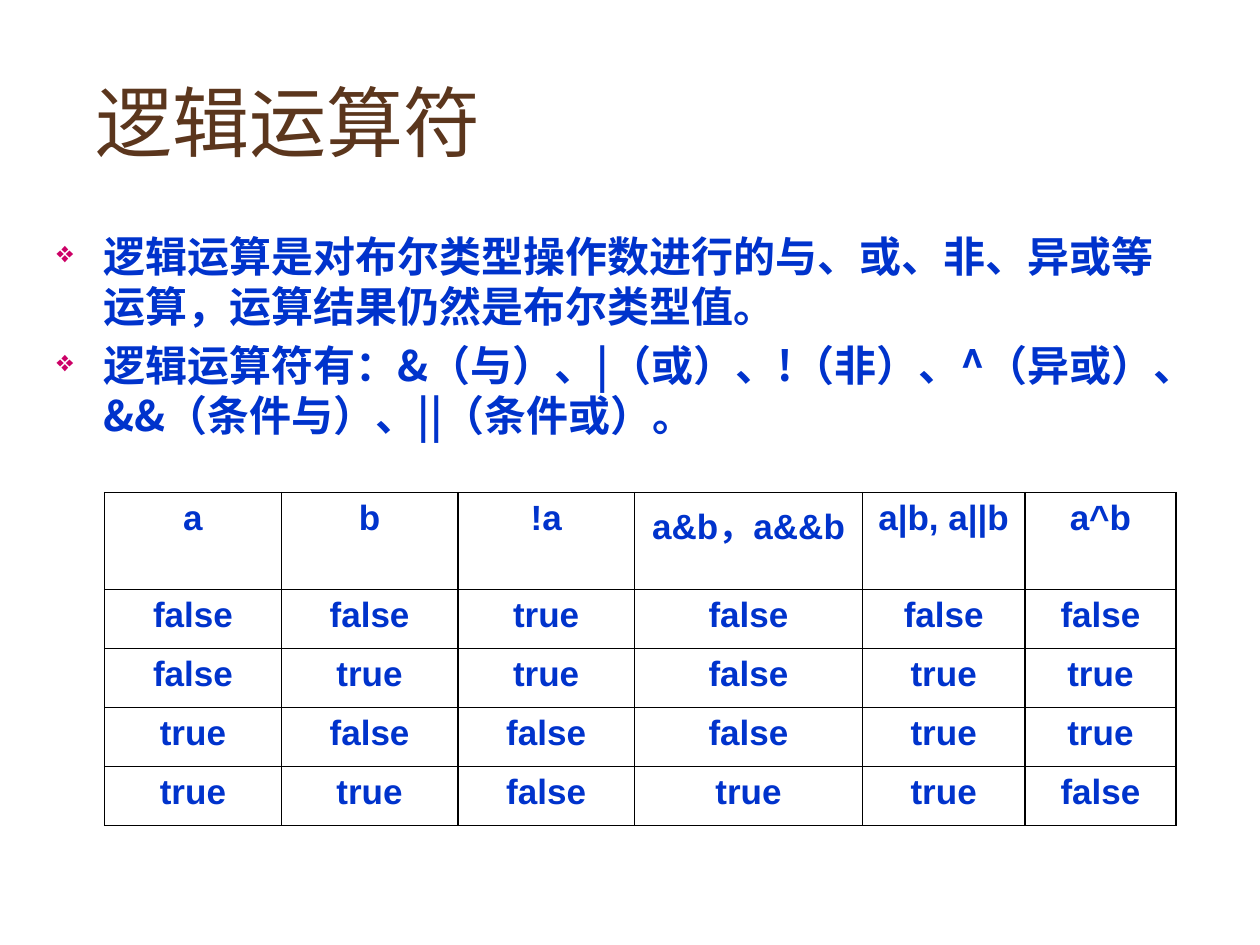
import pptx
import pptx.dml.color
import pptx.enum.text
import pptx.oxml
import pptx.oxml.ns
import pptx.util
from pptx.util import Cm

LATIN, HAN = "Arial", "Noto Sans CJK SC"
BROWN, BLUE, PINK, BLACK = "5B361D", "0033CC", "CC0066", "000000"
HANGING = Cm(0.95)
CENTER = pptx.enum.text.PP_ALIGN.CENTER
MIDDLE = pptx.enum.text.MSO_ANCHOR.MIDDLE

RULES = [
    "逻辑运算是对布尔类型操作数进行的与、或、非、异或等运算，运算结果仍然是布尔类型值。",
    "逻辑运算符有：&（与）、|（或）、!（非）、^（异或）、&&（条件与）、||（条件或）。",
]
OPERATIONS = ["a", "b", "!a", "a&b，a&&b", "a|b, a||b", "a^b"]
COLUMN_WIDTHS = [3.56, 3.56, 3.56, 4.6, 3.27, 3.05]


def color(hex_code):
    """Turn a hex string into a colour."""
    return pptx.dml.color.RGBColor.from_string(hex_code)


def xml(markup):
    """Parse one DrawingML element, its prefix being a."""
    tag, rest = markup[:-2].split(" ", 1)
    return pptx.oxml.parse_xml(f"{tag} {pptx.oxml.ns.nsdecls('a')} {rest}/>")


def write(paragraph, text, size=20, ink=BLUE, bold=True, font=LATIN,
          align=None, hanging=False, before=0):
    """Write text into a paragraph with the given format."""
    paragraph.alignment = align
    paragraph.space_before = pptx.util.Pt(before)
    if hanging:
        properties = paragraph._p.get_or_add_pPr()
        properties.set("marL", str(HANGING))
        properties.set("indent", str(-HANGING))
    run = paragraph.add_run()
    run.text = text
    run.font.size = pptx.util.Pt(size)
    run.font.bold = bold
    run.font.color.rgb = color(ink)
    run.font.name = font
    run._r.get_or_add_rPr().append(xml(f'<a:ea typeface="{HAN}"/>'))


def add_bullet(paragraph):
    """Give a paragraph the small pink diamond bullet."""
    properties = paragraph._p.get_or_add_pPr()
    bullet_color = pptx.oxml.parse_xml(
        f'<a:buClr {pptx.oxml.ns.nsdecls("a")}><a:srgbClr val="{PINK}"/></a:buClr>')
    properties.append(bullet_color)
    properties.append(xml('<a:buSzPct val="70000"/>'))
    properties.append(xml('<a:buChar char="❖"/>'))


def add_frame(slide, box):
    """Add a wrapping text box and return its text frame."""
    frame = slide.shapes.add_textbox(*map(Cm, box)).text_frame
    frame.word_wrap = True
    return frame


def add_title(slide, box):
    """Place the heading, centred vertically in its box."""
    heading = add_frame(slide, box)
    heading.vertical_anchor = MIDDLE
    write(heading.paragraphs[0], "逻辑运算符", size=44, ink=BROWN, bold=False)


def add_rules(slide, box):
    """Place the bulleted statements."""
    body = add_frame(slide, box)
    for index, rule in enumerate(RULES):
        paragraph = body.add_paragraph() if index else body.paragraphs[0]
        write(paragraph, rule, size=24, font=HAN, hanging=True, before=4.8)
        add_bullet(paragraph)


def add_borders(cell):
    """Draw thin black lines on all four sides of a cell."""
    properties = cell._tc.get_or_add_tcPr()
    for position, side in enumerate(("lnL", "lnR", "lnT", "lnB")):
        properties.insert(position, pptx.oxml.parse_xml(
            f'<a:{side} {pptx.oxml.ns.nsdecls("a")} w="12700"><a:solidFill>'
            f'<a:srgbClr val="{BLACK}"/></a:solidFill></a:{side}>'))


def truth_rows():
    """Work out the truth table, header first."""
    rows = [OPERATIONS]
    for a in (False, True):
        for b in (False, True):
            results = (a, b, not a, a and b, a or b, a != b)
            rows.append([str(result).lower() for result in results])
    return rows


def add_truth_table(slide, box):
    """Place the truth table of the operators."""
    rows = truth_rows()
    table = slide.shapes.add_table(
        len(rows), len(OPERATIONS), *map(Cm, box)).table
    table.first_row = table.horz_banding = False
    for column, width in zip(table.columns, COLUMN_WIDTHS):
        column.width = Cm(width)
    for index, (row, values) in enumerate(zip(table.rows, rows)):
        row.height = Cm(1.19 if index else 1.3)
        for cell, value in zip(row.cells, values):
            cell.fill.background()
            add_borders(cell)
            write(cell.text_frame.paragraphs[0], value,
                  align=CENTER, hanging=True)


def build():
    """Build the slide and save it."""
    deck = pptx.Presentation()
    deck.slide_width, deck.slide_height = Cm(25.4), Cm(19.05)
    slide = deck.slides.add_slide(deck.slide_layouts[6])
    add_title(slide, (1.68, 1.32, 14.43, 2.21))
    add_rules(slide, (0.89, 4.52, 23.06, 4.83))
    add_truth_table(slide, (2.11, 9.93, sum(COLUMN_WIDTHS), 6.06))
    deck.save("out.pptx")


build()
